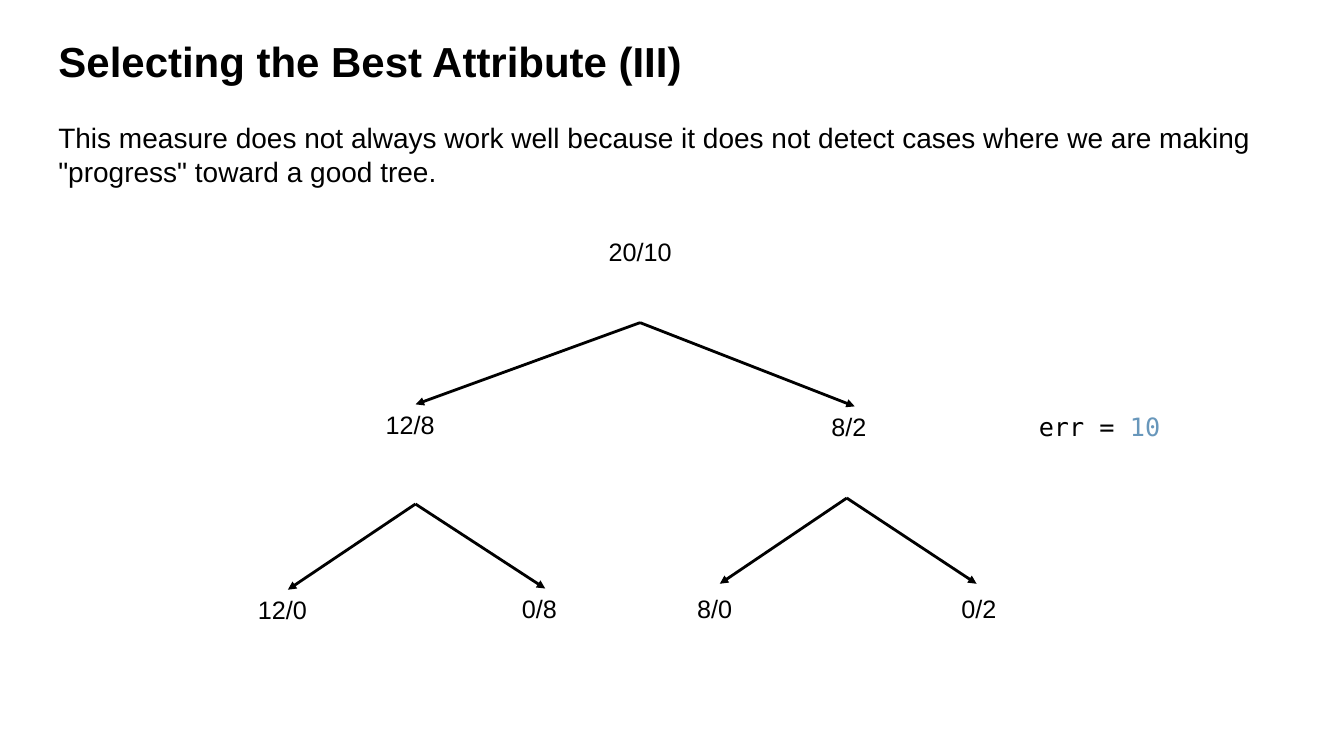
from lxml import etree
from pptx import Presentation
from pptx.dml.color import RGBColor
from pptx.enum.shapes import MSO_CONNECTOR
from pptx.enum.text import MSO_ANCHOR, MSO_AUTO_SIZE, PP_ALIGN
from pptx.oxml.ns import qn
from pptx.util import Cm, Pt

COLORS = {"ink": "000000", "number": "6897BB"}


def format_run(run, size, color="ink", font="Arial", bold=False):
    run.font.name = font
    run.font.size = Pt(size)
    run.font.bold = bold
    run.font.color.rgb = RGBColor.from_string(COLORS[color])


def add_text(left, top, width, height, text, size):
    box = slide.shapes.add_textbox(Cm(left), Cm(top), Cm(width), Cm(height))
    box.text_frame.word_wrap = True
    box.text_frame.text = text
    format_run(box.text_frame.paragraphs[0].runs[0], size)
    return box


presentation = Presentation()
presentation.slide_width = Cm(33.87)
presentation.slide_height = Cm(19.05)
slide = presentation.slides.add_slide(presentation.slide_layouts[5])

title = slide.shapes.title
title.left, title.top, title.width, title.height = Cm(1.22), Cm(0.74), Cm(31.45), Cm(1.6)
title.text_frame.text = "Selecting the Best Attribute (III)"
title.text_frame.vertical_anchor = MSO_ANCHOR.MIDDLE
title.text_frame.paragraphs[0].alignment = PP_ALIGN.LEFT
format_run(title.text_frame.paragraphs[0].runs[0], 30, bold=True)

add_text(1.22, 2.92, 31.45, 2.16,
         "This measure does not always work well because it does not detect cases "
         "where we are making \"progress\" toward a good tree.", 20)

nodes = {}
for label, left, top, width in [
    ("20/10", 15.09, 5.82, 2.26),
    ("12/8", 9.47, 10.19, 2.01),
    ("8/2", 20.7, 10.24, 1.68),
    ("12/0", 6.25, 14.86, 2.01),
    ("0/8", 12.9, 14.83, 1.68),
    ("8/0", 17.32, 14.83, 2.01),
    ("0/2", 23.98, 14.83, 1.68),
]:
    nodes[label] = add_text(left, top, width, 1.02, label, 18)
    nodes[label].text_frame.auto_size = MSO_AUTO_SIZE.SHAPE_TO_FIT_TEXT

for start_x, start_y, end_x, end_y, child in [
    (16.13, 8.13, 21.54, 10.24, "8/2"),
    (16.13, 8.13, 10.47, 10.19, "12/8"),
    (10.47, 12.7, 13.74, 14.83, "0/8"),
    (10.47, 12.7, 7.26, 14.86, "12/0"),
    (21.34, 12.55, 24.61, 14.71, None),
    (21.34, 12.55, 18.14, 14.71, None),
]:
    branch = slide.shapes.add_connector(
        MSO_CONNECTOR.STRAIGHT, Cm(start_x), Cm(start_y), Cm(end_x), Cm(end_y))
    if child:
        branch.end_connect(nodes[child], 0)
    branch.line.color.rgb = RGBColor.from_string(COLORS["ink"])
    branch.line.width = Pt(2)
    etree.SubElement(branch.line._get_or_add_ln(), qn("a:tailEnd"), type="triangle")
    etree.SubElement(branch._element.spPr, qn("a:effectLst"))

error = add_text(25.93, 10.24, 4.67, 1.02, "err = ", 18)
error_paragraph = error.text_frame.paragraphs[0]
error_paragraph.add_run().text = "10"
for run, color in zip(error_paragraph.runs, ("ink", "number")):
    format_run(run, 18, color, "DejaVu Sans Mono")

presentation.save("out.pptx")
